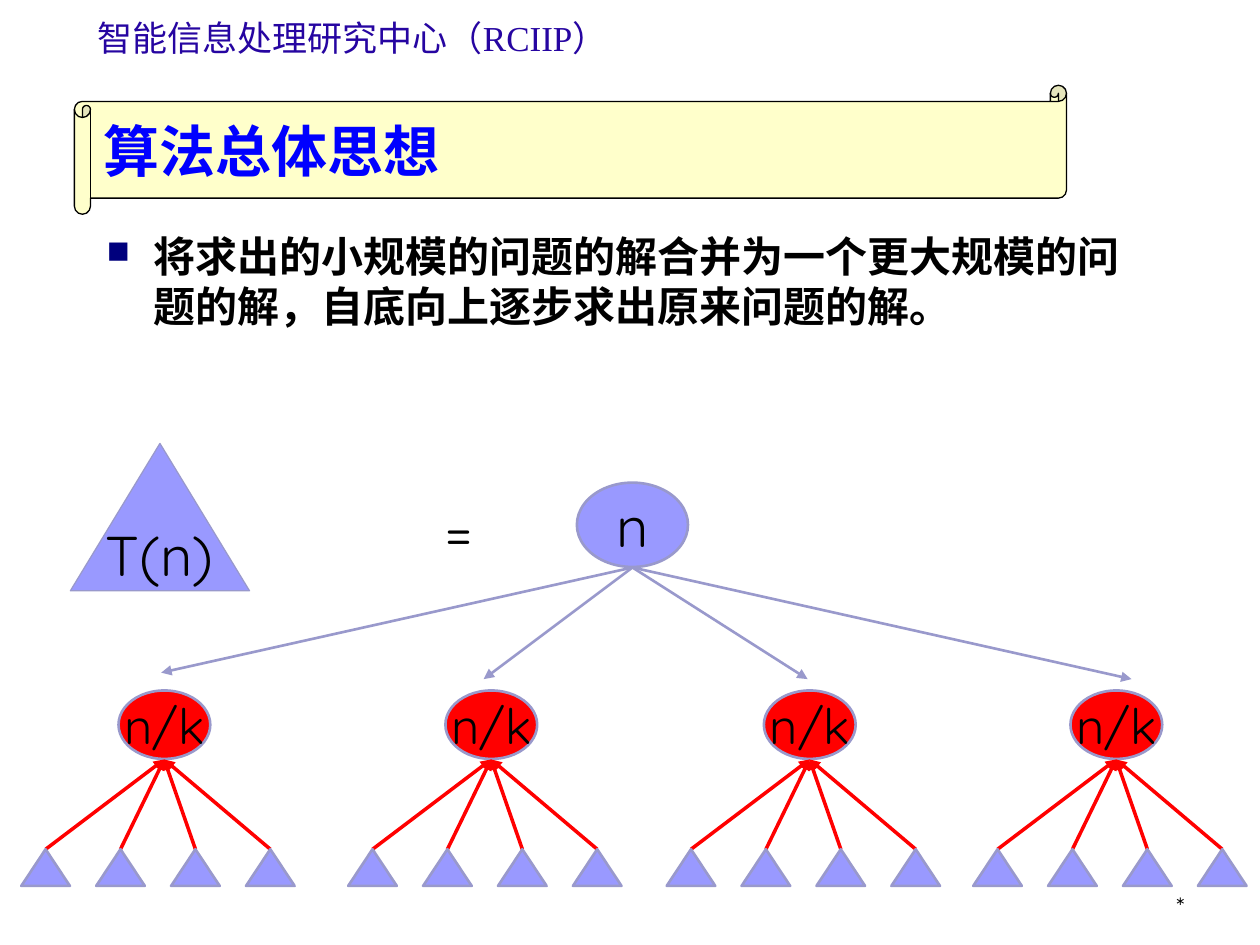
from lxml import etree
from pptx import Presentation
from pptx import util as u
from pptx.dml.color import RGBColor
from pptx.enum import shapes, text
from pptx.oxml import ns

LILAC, EDGE, RED, BLACK = "9999FF", "9999CC", "FF0000", "000000"
TEXT_FONT, LABEL_FONT = "Arial", "Quicksand"
LEFT, CENTER, RIGHT = text.PP_ALIGN.LEFT, text.PP_ALIGN.CENTER, text.PP_ALIGN.RIGHT
TOP, MIDDLE, BOTTOM = text.MSO_ANCHOR.TOP, text.MSO_ANCHOR.MIDDLE, text.MSO_ANCHOR.BOTTOM
OVAL, TRIANGLE = shapes.MSO_SHAPE.OVAL, shapes.MSO_SHAPE.ISOSCELES_TRIANGLE


def rgb(color):
    return RGBColor.from_string(color)


def cm(*lengths):
    return [u.Cm(length) for length in lengths]


def add_xml(parent, tag, **attrs):
    return etree.SubElement(parent, ns.qn(tag), attrs)


class Deck:
    def __init__(self, width, height):
        self.prs = Presentation()
        self.prs.slide_width, self.prs.slide_height = cm(width, height)
        self.s = self.prs.slides.add_slide(self.prs.slide_layouts[5])
        self.parent = self.s.shapes

    def group(self):
        """Send the following shapes into a new group."""
        self.parent = self.s.shapes.add_group_shape().shapes

    def set_text(self, sp, runs, size, color, align=CENTER, anchor=MIDDLE,
                 bold=False, wrap=False):
        """Fill a shape with one paragraph of (wording, font) runs."""
        tf = sp.text_frame
        tf.auto_size = text.MSO_AUTO_SIZE.NONE
        tf.word_wrap, tf.vertical_anchor = wrap, anchor
        p = tf.paragraphs[0]
        p.alignment = align
        for wording, font in runs:
            r = p.add_run()
            r.text = wording
            r.font.name, r.font.size, r.font.bold = font, u.Pt(size), bold
            r.font.color.rgb = rgb(color)
        return p

    def title(self, box, wording, size, color):
        sp = self.s.shapes.title
        sp.left, sp.top, sp.width, sp.height = cm(*box)
        self.set_text(sp, [(wording, TEXT_FONT)], size, color, LEFT, bold=True)

    def textbox(self, box, runs, size, color=BLACK, **style):
        return self.set_text(self.parent.add_textbox(*cm(*box)), runs, size, color, **style)

    def bullet(self, p, indent, mark, color, percent):
        pPr = p._p.get_or_add_pPr()
        pPr.set("marL", str(u.Cm(indent)))
        pPr.set("indent", str(-u.Cm(indent)))
        add_xml(add_xml(pPr, "a:buClr"), "a:srgbClr", val=color)
        add_xml(pPr, "a:buSzPct", val=str(percent * 1000))
        add_xml(pPr, "a:buChar", char=mark)

    def shape(self, kind, box, fill, line=EDGE, weight=1.5, label=None, size=32):
        sp = self.parent.add_shape(kind, *cm(*box))
        sp.shadow.inherit = False
        sp.fill.solid()
        sp.fill.fore_color.rgb = rgb(fill)
        sp.line.color.rgb = rgb(line)
        sp.line.width = u.Pt(weight)
        if label:
            self.set_text(sp, [(label, LABEL_FONT)], size, BLACK)
        return sp

    def arrow(self, start, end, color, weight, tip):
        sp = self.parent.add_connector(shapes.MSO_CONNECTOR.STRAIGHT, *cm(*start, *end))
        sp.line.color.rgb = rgb(color)
        sp.line.width = u.Pt(weight)
        spPr = sp._element.spPr
        add_xml(spPr.find(ns.qn("a:ln")), tip, type="triangle")
        add_xml(spPr, "a:effectLst")


def subtree(deck, x):
    """A subproblem with four solved leaves merging into it."""
    deck.group()
    deck.shape(OVAL, (x - 0.92, 13.92, 1.85, 1.38), RED, label="n/k", size=28)
    leaves = [x - 2.39 + 1.51 * i for i in range(4)]
    for leaf in leaves:
        deck.arrow((x, 15.31), (leaf, 17.12), RED, 2, "a:headEnd")
    for leaf in leaves:
        deck.shape(TRIANGLE, (leaf - 0.49, 17.12, 0.98, 0.74), LILAC)


def main():
    deck = Deck(25.4, 19.05)

    # Scroll banner behind the title
    scroll = deck.shape(shapes.MSO_SHAPE.HORIZONTAL_SCROLL, (1.5, 1.72, 20, 2.6),
                        "FFFF99", BLACK, 0.75)
    tint = scroll._element.spPr.find(ns.qn("a:solidFill"))[0]
    add_xml(tint, "a:alpha", val="50000")
    deck.s.shapes._spTree.insert(2, scroll._element)
    deck.title((1.83, 2.05, 19.34, 1.94), "算法总体思想", 32, "0000FF")

    # Header, body text and footer mark
    deck.textbox((1.9, 0, 10.41, 1.52),
                 [("智能信息处理研究中心", TEXT_FONT), ("（RCIIP）", "Times New Roman")],
                 20, "2605A1")
    body = deck.textbox(
        (1.9, 4.52, 21.59, 2.67),
        [("将求出的小规模的问题的解合并为一个更大规模的问题的解，自底向上逐步求出原来问题的解。",
          TEXT_FONT)],
        24, align=LEFT, anchor=TOP, bold=True, wrap=True)
    deck.bullet(body, 0.95, "■", "00007D", 75)
    deck.textbox((18.21, 17.35, 5.92, 1.27), [("*", "Montserrat")], 12,
                 align=RIGHT, anchor=BOTTOM, wrap=True)

    # T(n) = root problem
    deck.shape(TRIANGLE, (1.42, 8.94, 3.61, 2.97), LILAC, weight=0.75, label="T(n)")
    deck.textbox((7.77, 9.86, 2.97, 1.63), [("=", LABEL_FONT)], 32, anchor=TOP, wrap=True)
    deck.shape(OVAL, (11.63, 9.73, 2.24, 1.7), LILAC, label="n")
    for end in ((3.25, 13.56), (9.75, 13.69), (16.28, 13.69), (22.81, 13.69)):
        deck.arrow((12.75, 11.44), end, EDGE, 1.5, "a:tailEnd")

    # Subproblems
    for x in (3.31, 9.9, 16.32, 22.5):
        subtree(deck, x)

    deck.prs.save("out.pptx")


if __name__ == "__main__":
    main()
